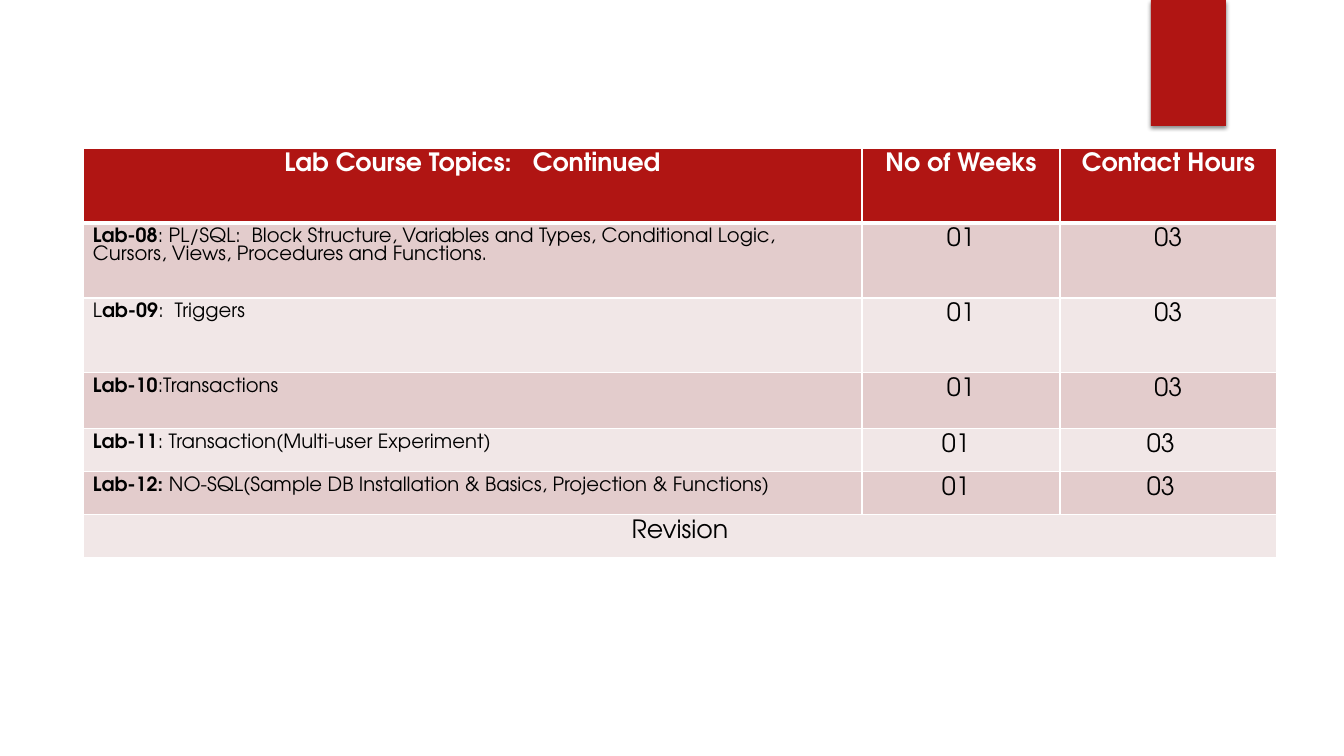
from dataclasses import dataclass

from lxml.etree import SubElement
from pptx import Presentation
from pptx.dml.color import RGBColor
from pptx.enum.shapes import MSO_SHAPE as Shape
from pptx.enum.text import PP_ALIGN as Align
from pptx.oxml.ns import qn
from pptx.util import Pt

PX = 914400 / 100.8


@dataclass(frozen=True)
class Theme:
    """Hold the colours, font and type sizes of the slide."""
    font: str = "TeX Gyre Adventor"
    red: str = "B01513"
    dark_band: str = "E3CCCC"
    light_band: str = "F1E7E7"
    white: str = "FFFFFF"
    black: str = "000000"
    large: int = 18
    small: int = 14
    thin_line: float = 0.96
    thick_line: float = 3


THEME = Theme()
COLUMN_WIDTHS = (779, 198, 217)
ROW_HEIGHTS = (75, 75, 75, 56, 43, 43, 43)
SIDE_MARGIN = 10
TOP_MARGIN = 5
HEADINGS = ("Lab Course Topics:   Continued", "No of Weeks", "Contact Hours")
WEEKS, HOURS = "01", "03"
CENTRED = (None, None)
INDENTED = (70, 77)
LABS = (
    ((("Lab-08", True),
      (": PL/SQL:  Block Structure, Variables and Types, Conditional Logic, "
       "Cursors, Views, Procedures and Functions.", False)), CENTRED),
    ((("L", False), ("ab-09", True), (":  Triggers", False)), CENTRED),
    ((("Lab-10", True), (":Transactions", False)), CENTRED),
    ((("Lab-11", True), (": Transaction(Multi-user Experiment)", False)), INDENTED),
    ((("Lab-12: ", True),
      ("NO-SQL(Sample DB Installation & Basics, Projection & Functions)", False)), INDENTED),
)


def px(length):
    """Turn pixels into EMU."""
    return round(length * PX)


def rgb(colour):
    """Turn a hex string into a colour."""
    return RGBColor.from_string(colour)


def add_tab(slide, left, top, width, height):
    """Draw the red tab that hangs from the top edge."""
    tab = slide.shapes.add_shape(Shape.RECTANGLE, px(left), px(top), px(width), px(height))
    tab.fill.solid()
    tab.fill.fore_color.rgb = rgb(THEME.red)
    tab.line.fill.background()
    tab.shadow.inherit = False
    effects = tab._element.spPr.find(qn("a:effectLst"))
    shadow = SubElement(effects, qn("a:outerShdw"), blurRad=str(Pt(3)), dist=str(Pt(2)),
                        dir="5400000", rotWithShape="0")
    colour = SubElement(shadow, qn("a:srgbClr"), val=THEME.black)
    SubElement(colour, qn("a:alpha"), val="45000")


def style_cell(cell, row):
    """Give a cell its margins, borders and band colour."""
    cell.margin_left = cell.margin_right = px(SIDE_MARGIN)
    cell.margin_top = px(TOP_MARGIN)
    cell.margin_bottom = 0
    properties = cell._tc.get_or_add_tcPr()
    for side in ("lnL", "lnR", "lnT", "lnB"):
        under_header = row == 0 and side == "lnB"
        width = THEME.thick_line if under_header else THEME.thin_line
        line = SubElement(properties, qn(f"a:{side}"), w=str(Pt(width)))
        fill = SubElement(line, qn("a:solidFill"))
        SubElement(fill, qn("a:srgbClr"), val=THEME.white)
    band = THEME.dark_band if row % 2 else THEME.light_band
    cell.fill.solid()
    cell.fill.fore_color.rgb = rgb(band if row else THEME.red)


def write_cell(cell, runs, size, colour=THEME.black, align=Align.CENTER, indent=None):
    """Write the runs of one cell, centred or indented from the left."""
    paragraph = cell.text_frame.paragraphs[0]
    paragraph.alignment = align if indent is None else Align.LEFT
    if indent is not None:
        paragraph._p.get_or_add_pPr().set("marL", str(px(indent)))
    for text, bold in runs:
        run = paragraph.add_run()
        run.text = text
        run.font.name = THEME.font
        run.font.size = Pt(size)
        run.font.bold = bold
        run.font.color.rgb = rgb(colour)


def add_lab_table(slide, left, top):
    """Build the table of labs, weeks and contact hours."""
    frame = slide.shapes.add_table(len(ROW_HEIGHTS), len(COLUMN_WIDTHS), px(left), px(top),
                                   px(sum(COLUMN_WIDTHS)), px(sum(ROW_HEIGHTS)))
    table = frame.table
    for column, width in zip(table.columns, COLUMN_WIDTHS):
        column.width = px(width)
    for index, (row, height) in enumerate(zip(table.rows, ROW_HEIGHTS)):
        row.height = px(height)
        for cell in row.cells:
            style_cell(cell, index)
    for column, heading in enumerate(HEADINGS):
        write_cell(table.cell(0, column), [(heading, True)], THEME.large, THEME.white)
    for row, (topic, indents) in enumerate(LABS, start=1):
        write_cell(table.cell(row, 0), topic, THEME.small, align=Align.LEFT)
        for column, (value, indent) in enumerate(zip((WEEKS, HOURS), indents), start=1):
            write_cell(table.cell(row, column), [(value, False)], THEME.large, indent=indent)
    last = len(ROW_HEIGHTS) - 1
    revision = table.cell(last, 0)
    revision.merge(table.cell(last, len(COLUMN_WIDTHS) - 1))
    write_cell(revision, [("Revision", False)], THEME.large)


def main():
    """Build and save the presentation."""
    presentation = Presentation()
    presentation.slide_width = px(1344)
    presentation.slide_height = px(756)
    slide = presentation.slides.add_slide(presentation.slide_layouts[6])
    add_tab(slide, 1151, 0, 75, 126)
    add_lab_table(slide, 83, 148)
    presentation.save("out.pptx")


if __name__ == "__main__":
    main()
